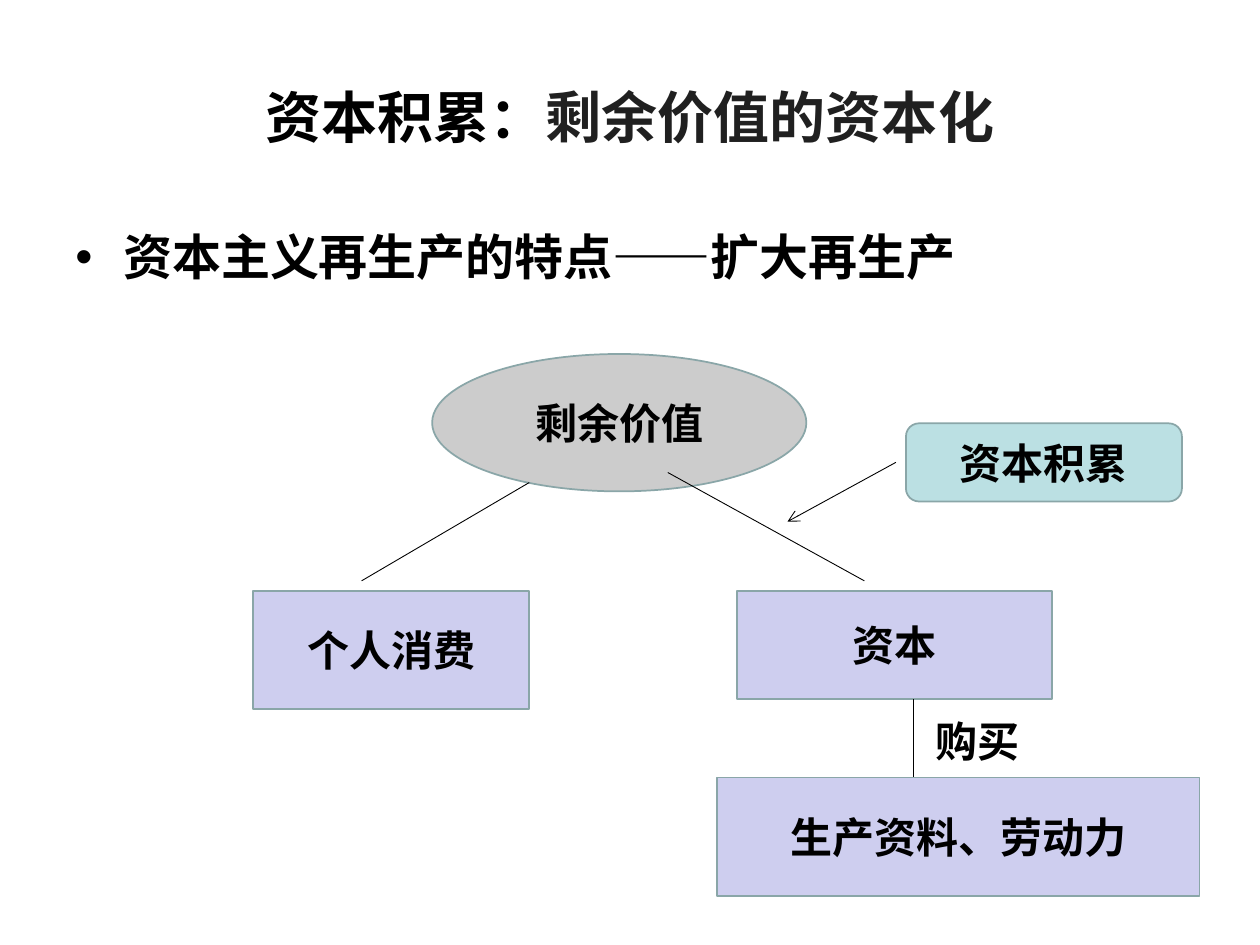
from dataclasses import dataclass

from lxml.etree import SubElement
from pptx import Presentation
from pptx.dml.color import RGBColor
from pptx.enum.shapes import MSO_CONNECTOR, MSO_SHAPE
from pptx.enum.text import MSO_ANCHOR, PP_ALIGN
from pptx.oxml.ns import qn
from pptx.util import Inches, Pt


@dataclass(frozen=True)
class Theme:
    font: str = "Arial"
    ink: str = "000000"
    soft_ink: str = "202020"
    outline: str = "8AA6A8"
    source: str = "CCCCCC"
    box: str = "CECEEF"
    accent: str = "BBE0E3"
    title: int = 32
    body: int = 28
    label: int = 24
    outline_width: float = 1
    line_width: float = 0.5


class Deck:
    def __init__(self, prs, theme):
        self.theme = theme
        self.s = prs.slides.add_slide(prs.slide_layouts[6])

    def set_text(self, sp, runs, size, align, anchor):
        tf = sp.text_frame
        tf.word_wrap = True
        tf.vertical_anchor = anchor
        p = tf.paragraphs[0]
        p.alignment = align
        style = {"name": self.theme.font, "size": Pt(size), "bold": True}
        for text, color in runs:
            r = p.add_run()
            r.text = text
            for key, value in style.items():
                setattr(r.font, key, value)
            r.font.color.rgb = RGBColor.from_string(color)
        return p

    def text(self, at, runs, size, align=PP_ALIGN.LEFT, anchor=MSO_ANCHOR.TOP):
        sp = self.s.shapes.add_textbox(*map(Inches, at))
        return self.set_text(sp, runs, size, align, anchor)

    def bullet(self, at, text):
        p = self.text(at, [(text, self.theme.ink)], self.theme.body)
        p.space_before = Pt(self.theme.body * 0.2)
        pPr = p._p.get_or_add_pPr()
        pPr.set("marL", str(Inches(0.38)))
        pPr.set("indent", str(Inches(-0.38)))
        SubElement(pPr, qn("a:buFont")).set("typeface", self.theme.font)
        SubElement(pPr, qn("a:buChar")).set("char", "•")

    def node(self, kind, at, text, fill):
        sp = self.s.shapes.add_shape(kind, *map(Inches, at))
        sp.shadow.inherit = False
        sp.fill.solid()
        sp.fill.fore_color.rgb = RGBColor.from_string(fill)
        sp.line.color.rgb = RGBColor.from_string(self.theme.outline)
        sp.line.width = Pt(self.theme.outline_width)
        self.set_text(sp, [(text, self.theme.ink)], self.theme.label,
                      PP_ALIGN.CENTER, MSO_ANCHOR.MIDDLE)

    def line(self, start, end, arrow=False):
        sp = self.s.shapes.add_connector(
            MSO_CONNECTOR.STRAIGHT, *map(Inches, start + end))
        sp.line.color.rgb = RGBColor.from_string(self.theme.ink)
        sp.line.width = Pt(self.theme.line_width)
        spPr = sp._element.spPr
        if arrow:
            SubElement(spPr.find(qn("a:ln")), qn("a:tailEnd")).set("type", "arrow")
        SubElement(spPr, qn("a:effectLst"))


prs = Presentation()
prs.slide_width, prs.slide_height = Inches(10), Inches(7.5)
theme = Theme()
deck = Deck(prs, theme)

deck.bullet((0.5, 1.75, 9, 4.95), "资本主义再生产的特点——扩大再生产")
deck.text((0.5, 0.3, 9, 1.25),
          [("资本积累：", theme.ink), ("剩余价值的资本化", theme.soft_ink)],
          theme.title, PP_ALIGN.CENTER, MSO_ANCHOR.MIDDLE)

nodes = [
    (MSO_SHAPE.OVAL, (3.43, 2.81, 2.97, 1.09), "剩余价值", theme.source),
    (MSO_SHAPE.RECTANGLE, (2.01, 4.69, 2.19, 0.94), "个人消费", theme.box),
    (MSO_SHAPE.RECTANGLE, (5.85, 4.69, 2.5, 0.86), "资本", theme.box),
    (MSO_SHAPE.ROUNDED_RECTANGLE, (7.19, 3.36, 2.19, 0.62), "资本积累", theme.accent),
    (MSO_SHAPE.RECTANGLE, (5.69, 6.17, 3.83, 0.94), "生产资料、劳动力", theme.box),
]
for node in nodes:
    deck.node(*node)

links = [
    ((4.2, 3.83), (2.87, 4.61)),
    ((5.3, 3.75), (6.86, 4.61)),
    ((7.25, 5.55), (7.25, 6.17)),
]
for start, end in links:
    deck.line(start, end)
deck.line((7.11, 3.67), (6.25, 4.14), arrow=True)

deck.text((7.33, 5.63, 1.17, 0.5), [("购买", theme.ink)], theme.label)

prs.save("out.pptx")
